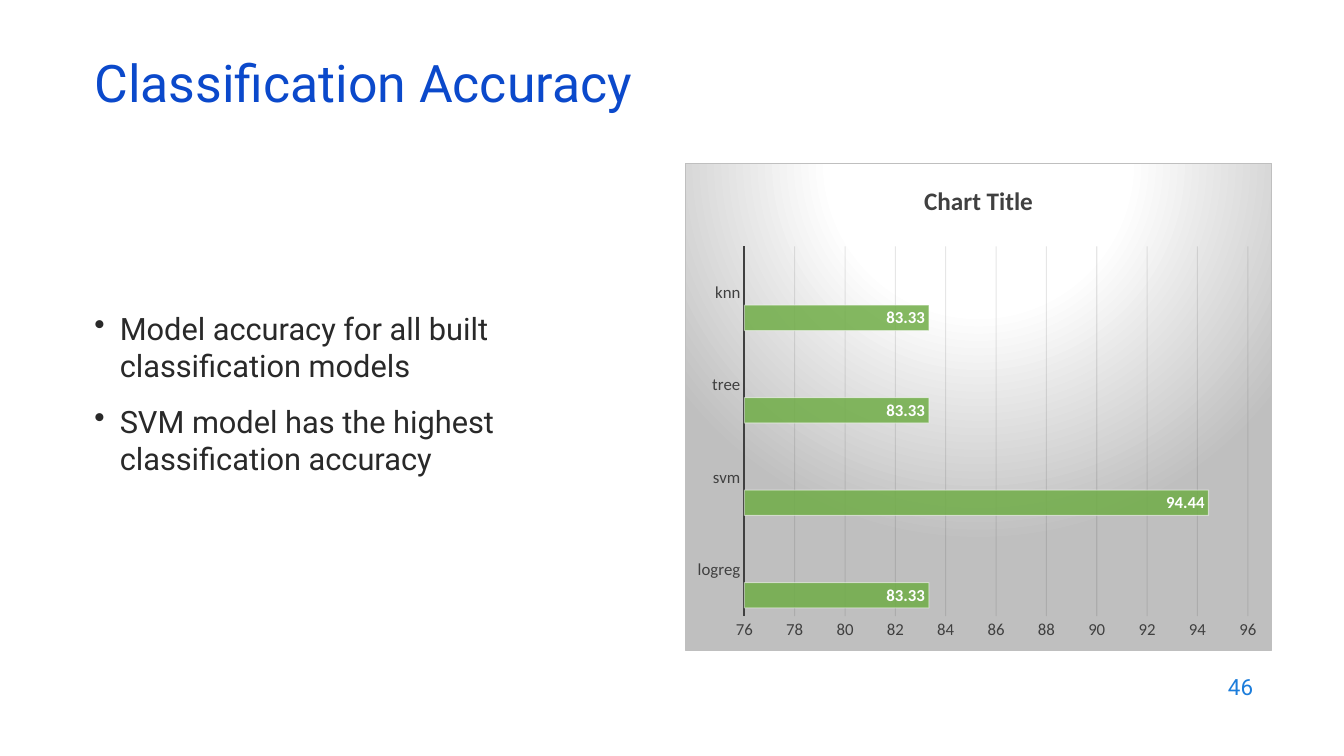
from dataclasses import dataclass

import lxml.etree
import pptx
import pptx.chart.data
import pptx.dml.color
import pptx.enum.chart
import pptx.enum.text
import pptx.oxml
import pptx.oxml.ns
import pptx.util

Cm = pptx.util.Cm
Pt = pptx.util.Pt
qn = pptx.oxml.ns.qn
PP_ALIGN = pptx.enum.text.PP_ALIGN
MSO_ANCHOR = pptx.enum.text.MSO_ANCHOR


@dataclass(frozen=True)
class Theme:
    font: str = "Roboto"
    chart_font: str = "Calibri"
    title: str = "0B49CB"
    body: str = "292929"
    number: str = "1C7DDB"
    chart_text: str = "404040"
    grid: str = "0D0D0D"
    white: str = "FFFFFF"
    grey: str = "BFBFBF"
    title_size: int = 37
    body_size: int = 22
    number_size: int = 16
    chart_title_size: int = 18
    chart_size: int = 12


@dataclass(frozen=True)
class Box:
    left: float
    top: float
    width: float
    height: float

    def lengths(self) -> tuple:
        return Cm(self.left), Cm(self.top), Cm(self.width), Cm(self.height)


@dataclass(frozen=True)
class Series:
    name: str
    values: tuple
    color: str


THEME = Theme()
TITLE_BOX = Box(2.13, 1.5, 29.21, 1.52)
BODY_BOX = Box(2.13, 7.67, 14.78, 5.21)
NUMBER_BOX = Box(24.21, 16.74, 7.62, 1.12)
CHART_BOX = Box(17.27, 4.11, 14.78, 12.29)
BULLETS = (
    "Model accuracy for all built classification models",
    "SVM model has the highest classification accuracy",
)
MODELS = ("logreg", "svm", "tree", "knn")
SERIES = (
    Series("Series 1", (83.33, 94.44, 83.33, 83.33), "70AD47"),
    Series("Series 2", (None,) * 4, "5B9BD5"),
    Series("Series 3", (None,) * 4, "FFC000"),
)


def rgb(color: str):
    return pptx.dml.color.RGBColor.from_string(color)


def style_font(font, size: int, color: str, name: str, bold: bool = False) -> None:
    font.size = Pt(size)
    font.name = name
    font.bold = bold
    font.color.rgb = rgb(color)


def write_text(tf, *lines: str, size: int, color: str, font: str = THEME.font,
               bold: bool = False, align=PP_ALIGN.LEFT, anchor=MSO_ANCHOR.TOP,
               bullet: bool = False, gap: int = 0, spacing: float = 1.0) -> None:
    tf.word_wrap = True
    tf.auto_size = pptx.enum.text.MSO_AUTO_SIZE.NONE
    tf.vertical_anchor = anchor
    for i, line in enumerate(lines):
        p = tf.add_paragraph() if i else tf.paragraphs[0]
        if bullet:
            pPr = p._p.get_or_add_pPr()
            pPr.set("marL", str(Cm(0.64)))
            pPr.set("indent", str(-Cm(0.64)))
            lxml.etree.SubElement(pPr, qn("a:buChar")).set("char", "•")
        p.alignment = align
        p.line_spacing = spacing
        if i:
            p.space_before = Pt(gap)
        r = p.add_run()
        r.text = line
        style_font(r.font, size, color, font, bold)


def set_alphas(element, *percents: int) -> None:
    for clr, percent in zip(element.iter(qn("a:srgbClr")), percents):
        lxml.etree.SubElement(clr, qn("a:alpha")).set("val", str(percent * 1000))


def style_line(line, color: str, width: float) -> None:
    line.color.rgb = rgb(color)
    line.width = Pt(width)


def fill_chart_area(chart) -> None:
    stops = "".join(
        f'<a:gs pos="{pos * 1000}"><a:srgbClr val="{color}"/></a:gs>'
        for pos, color in ((0, THEME.white), (39, THEME.white), (100, THEME.grey))
    )
    spPr = pptx.oxml.parse_xml(
        f'<c:spPr {pptx.oxml.ns.nsdecls("c", "a")}>'
        f'<a:gradFill><a:gsLst>{stops}</a:gsLst><a:path path="circle">'
        '<a:fillToRect l="50000" t="-80000" r="50000" b="180000"/></a:path></a:gradFill>'
        f'<a:ln w="{Pt(0.75)}"><a:solidFill><a:srgbClr val="{THEME.grey}"/></a:solidFill></a:ln>'
        '</c:spPr>'
    )
    chart.element.find(qn("c:chart")).addnext(spPr)


def place_plot(chart, x: float, y: float, w: float, h: float) -> None:
    area = chart.element.find(qn("c:chart")).find(qn("c:plotArea"))
    for old in area.findall(qn("c:layout")):
        area.remove(old)
    layout = lxml.etree.Element(qn("c:layout"))
    manual = lxml.etree.SubElement(layout, qn("c:manualLayout"))
    settings = dict(layoutTarget="inner", xMode="edge", yMode="edge", x=x, y=y, w=w, h=h)
    for tag, value in settings.items():
        lxml.etree.SubElement(manual, qn(f"c:{tag}")).set("val", str(value))
    area.insert(0, layout)


def style_axes(chart) -> None:
    for axis in (chart.category_axis, chart.value_axis):
        axis.major_tick_mark = pptx.enum.chart.XL_TICK_MARK.NONE
        axis.minor_tick_mark = pptx.enum.chart.XL_TICK_MARK.NONE
        style_font(axis.tick_labels.font, THEME.chart_size, THEME.chart_text, THEME.chart_font)
    style_line(chart.category_axis.format.line, THEME.chart_text, 1.5)
    axis = chart.value_axis
    axis.minimum_scale, axis.maximum_scale, axis.major_unit = 76, 96, 2
    axis.format.line.fill.background()
    style_line(axis.major_gridlines.format.line, THEME.grid, 0.75)
    set_alphas(axis._element.find(qn("c:majorGridlines")), 10)


def add_accuracy_chart(slide) -> None:
    data = pptx.chart.data.CategoryChartData()
    data.categories = MODELS
    for s in SERIES:
        data.add_series(s.name, s.values)
    chart = slide.shapes.add_chart(
        pptx.enum.chart.XL_CHART_TYPE.BAR_CLUSTERED, *CHART_BOX.lengths(), data).chart
    style_font(chart.font, 10, "000000", THEME.chart_font)
    chart.has_legend = False
    chart.has_title = True
    write_text(chart.chart_title.text_frame, "Chart Title", size=THEME.chart_title_size,
               color=THEME.chart_text, font=THEME.chart_font, bold=True, align=PP_ALIGN.CENTER)
    plot = chart.plots[0]
    plot.gap_width = 65
    plot.vary_by_categories = False
    for s, bars in zip(SERIES, plot.series):
        bars.format.fill.solid()
        bars.format.fill.fore_color.rgb = rgb(s.color)
        style_line(bars.format.line, THEME.white, 0.75)
        set_alphas(bars._element.find(qn("c:spPr")), 85, 50)
        labels = bars.data_labels
        labels.show_value = True
        labels.position = pptx.enum.chart.XL_LABEL_POSITION.INSIDE_END
        style_font(labels.font, THEME.chart_size, THEME.white, THEME.chart_font, bold=True)
    style_axes(chart)
    place_plot(chart, 0.1, 0.17, 0.86, 0.76)
    fill_chart_area(chart)


def main() -> None:
    prs = pptx.Presentation()
    prs.slide_width, prs.slide_height = Cm(33.87), Cm(19.05)
    slide = prs.slides.add_slide(prs.slide_layouts.get_by_name("Title Only"))
    title = slide.shapes.title
    title.left, title.top, title.width, title.height = TITLE_BOX.lengths()
    write_text(title.text_frame, "Classification Accuracy", size=THEME.title_size,
               color=THEME.title, anchor=MSO_ANCHOR.MIDDLE, spacing=0.7)
    body = slide.shapes.add_textbox(*BODY_BOX.lengths())
    write_text(body.text_frame, *BULLETS, size=THEME.body_size, color=THEME.body,
               bullet=True, gap=14)
    number = slide.shapes.add_textbox(*NUMBER_BOX.lengths())
    write_text(number.text_frame, "46", size=THEME.number_size, color=THEME.number,
               align=PP_ALIGN.RIGHT, anchor=MSO_ANCHOR.MIDDLE)
    add_accuracy_chart(slide)
    prs.save("out.pptx")


if __name__ == "__main__":
    main()
